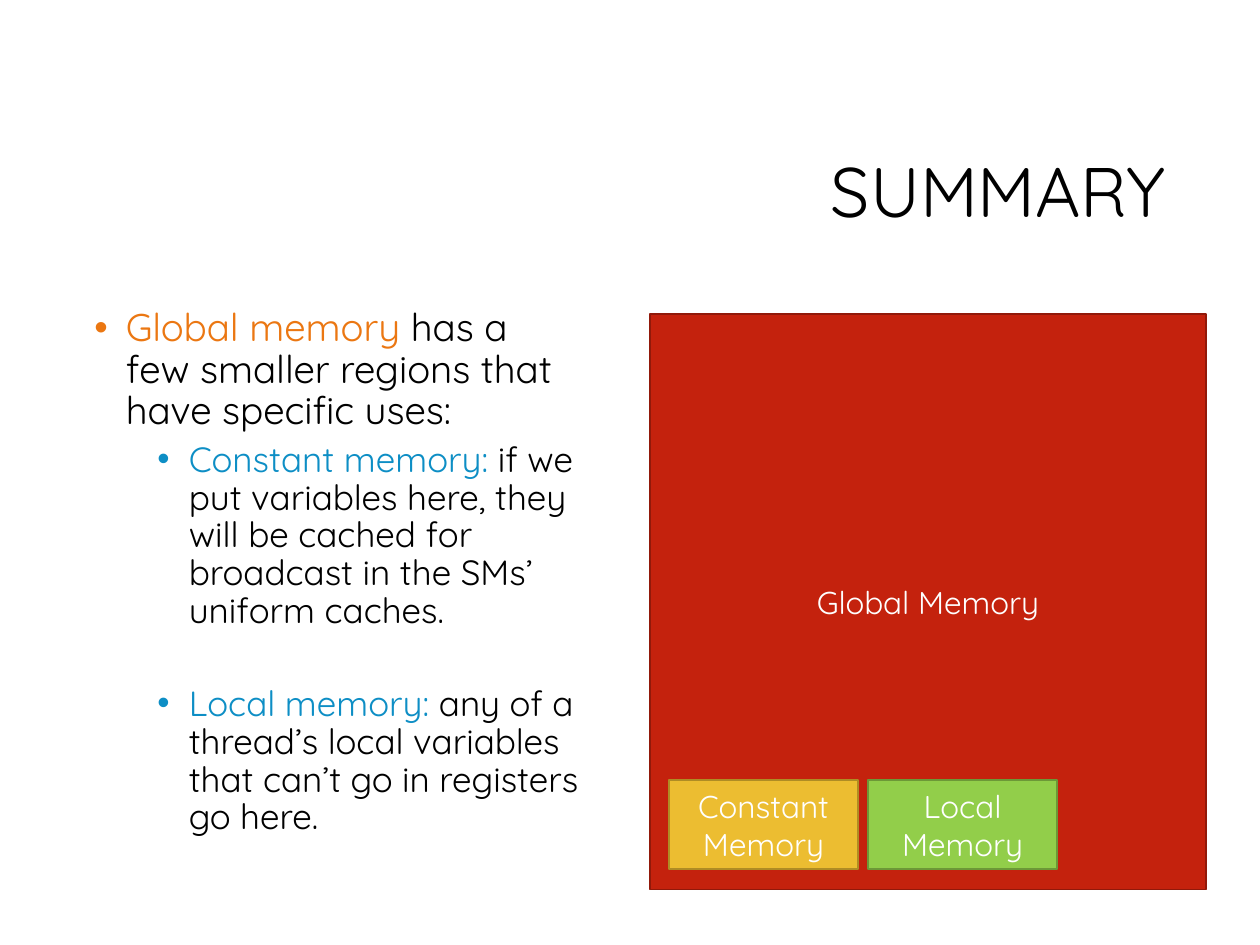
from lxml.etree import SubElement
from pptx import Presentation
from pptx.dml.color import RGBColor
from pptx.enum.shapes import MSO_SHAPE
from pptx.enum.text import MSO_ANCHOR, PP_ALIGN
from pptx.oxml.ns import qn
from pptx.util import Inches, Pt

FONT = "Quicksand"
BLACK = RGBColor(0x00, 0x00, 0x00)
WHITE = RGBColor(0xFF, 0xFF, 0xFF)
ORANGE = RGBColor(0xEB, 0x77, 0x12)
BLUE = RGBColor(0x0D, 0x8E, 0xC5)
RED = RGBColor(0xC4, 0x22, 0x0D)
DARK_RED = RGBColor(0x91, 0x19, 0x0A)
YELLOW = RGBColor(0xEC, 0xBD, 0x31)
DARK_YELLOW = RGBColor(0xAF, 0x8C, 0x24)
GREEN = RGBColor(0x92, 0xCE, 0x4A)
DARK_GREEN = RGBColor(0x6C, 0x98, 0x37)


def add_run(paragraph, text, size, color):
    run = paragraph.add_run()
    run.text = text
    run.font.name = FONT
    run.font.size = Pt(size)
    run.font.color.rgb = color


def add_bullet(paragraph, margin, color):
    properties = paragraph._p.get_or_add_pPr()
    properties.set("marL", str(Inches(margin)))
    properties.set("indent", str(Inches(-0.25)))
    bullet_color = SubElement(properties, qn("a:buClr"))
    SubElement(bullet_color, qn("a:srgbClr")).set("val", str(color))
    SubElement(properties, qn("a:buFont")).set("typeface", "Arial")
    SubElement(properties, qn("a:buChar")).set("char", "•")


presentation = Presentation()
presentation.slide_width = Inches(10)
presentation.slide_height = Inches(7.5)
slide = presentation.slides.add_slide(presentation.slide_layouts[5])

title = slide.shapes.title
title.left, title.top = Inches(2.38), Inches(0.84)
title.width, title.height = Inches(6.97), Inches(1.41)
title.text_frame.vertical_anchor = MSO_ANCHOR.MIDDLE
paragraph = title.text_frame.paragraphs[0]
paragraph.alignment = PP_ALIGN.RIGHT
paragraph.line_spacing = 0.9
add_run(paragraph, "SUMMARY", 40, BLACK)

body = slide.shapes.add_textbox(Inches(0.65), Inches(2.4), Inches(4.04), Inches(4.81))
body.text_frame.word_wrap = True
points = [
    ("Global memory ", "has a few smaller regions that have specific uses:",
     0, 22, ORANGE, 10),
    ("Constant memory: ",
     "if we put variables here, they will be cached for broadcast in the SMs’ uniform caches.",
     1, 20, BLUE, 5),
    ("Local memory: ",
     "any of a thread’s local variables that can’t go in registers go here.",
     1, 20, BLUE, 31.5),
]
for index, (term, description, level, size, color, space) in enumerate(points):
    paragraph = body.text_frame.add_paragraph() if index else body.text_frame.paragraphs[0]
    paragraph.level = level
    paragraph.line_spacing = 0.9
    paragraph.space_before = Pt(space)
    add_bullet(paragraph, 0.25 + 0.5 * level, color)
    add_run(paragraph, term, size, color)
    add_run(paragraph, description, size, BLACK)

memories = [
    ("Global Memory", 5.16, 2.49, 4.41, 4.57, RED, DARK_RED),
    ("Constant Memory", 5.31, 6.19, 1.5, 0.71, YELLOW, DARK_YELLOW),
    ("Local Memory", 6.89, 6.19, 1.5, 0.71, GREEN, DARK_GREEN),
]
for label, left, top, width, height, fill, outline in memories:
    shape = slide.shapes.add_shape(
        MSO_SHAPE.RECTANGLE, Inches(left), Inches(top), Inches(width), Inches(height))
    shape.shadow.inherit = False
    shape.fill.solid()
    shape.fill.fore_color.rgb = fill
    shape.line.color.rgb = outline
    shape.line.width = Pt(1)
    shape.text_frame.word_wrap = True
    shape.text_frame.vertical_anchor = MSO_ANCHOR.MIDDLE
    paragraph = shape.text_frame.paragraphs[0]
    paragraph.alignment = PP_ALIGN.CENTER
    add_run(paragraph, label, 18, WHITE)

presentation.save("out.pptx")
